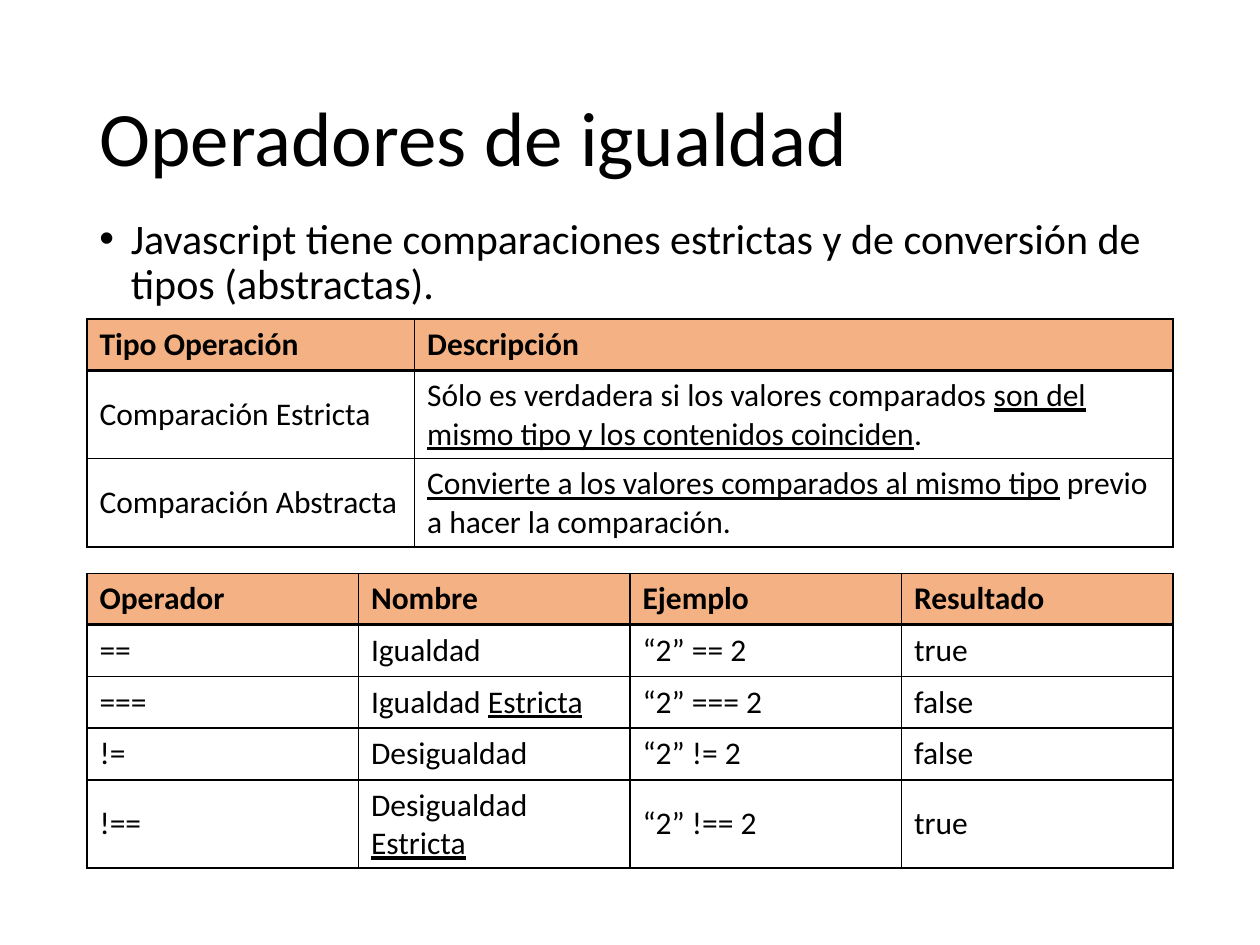
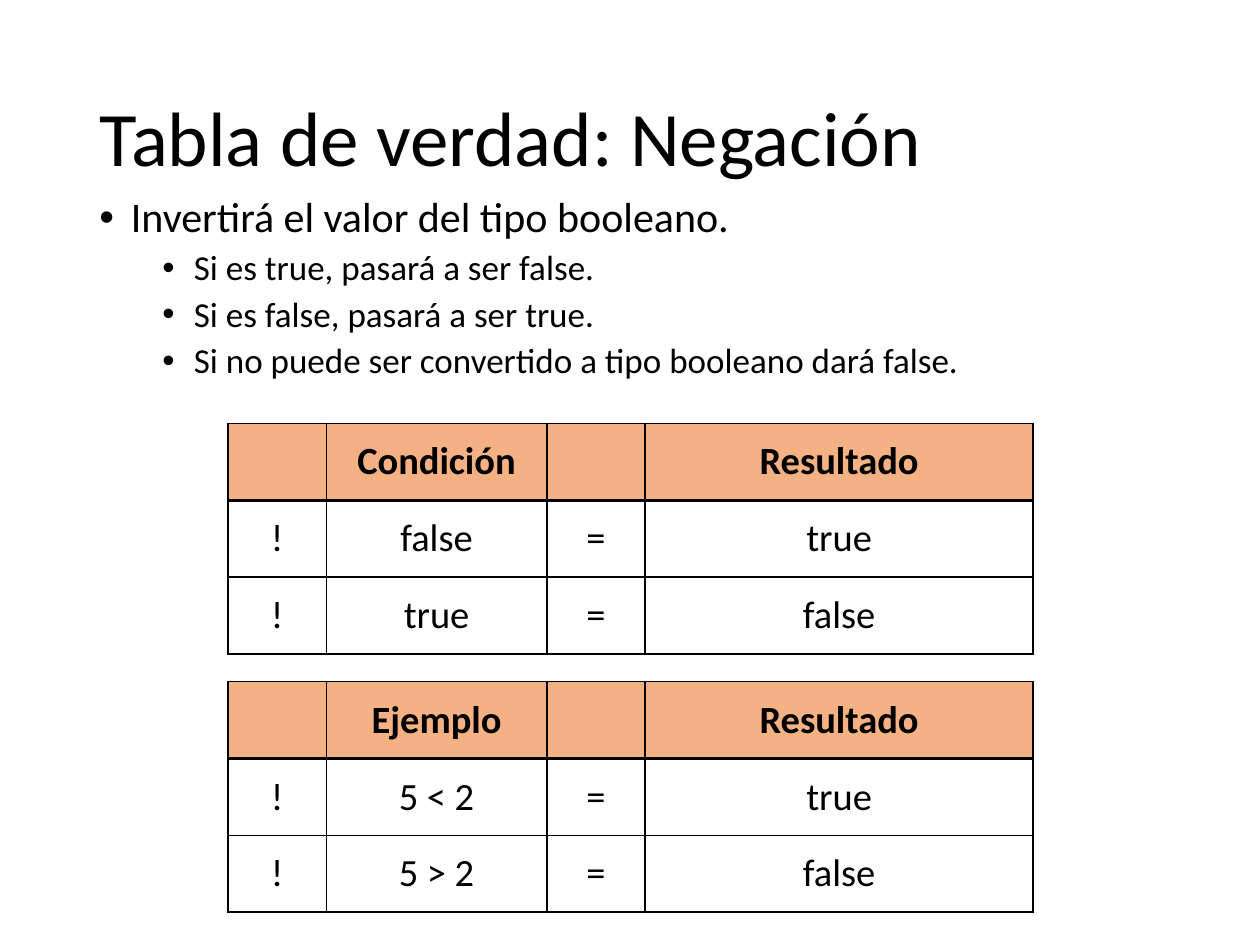
from lxml.etree import SubElement
from pptx import Presentation
from pptx.dml.color import RGBColor
from pptx.enum.text import MSO_ANCHOR, PP_ALIGN
from pptx.oxml import parse_xml
from pptx.oxml.ns import nsdecls, qn
from pptx.util import Inches, Pt

HUES = {"ink": "000000", "head": "F4B183", "cell": "FFFFFF"}
FACE = "Calibri"
LEFT, WIDE = 0.69, 8.62


def write(para, text, size, bold=False):
    para.font.name = FACE
    para.font.size = Pt(size)
    para.font.bold = bold
    para.font.color.rgb = RGBColor.from_string(HUES["ink"])
    for turn, part in enumerate(text.split("_")):
        if part:
            run = para.add_run()
            run.text = part
            if turn % 2:
                run.font.underline = True


def grid(slide, left, top, cols, rows, data, size, align, inset):
    frame = slide.shapes.add_table(
        len(rows), len(cols), Inches(left), Inches(top),
        Inches(sum(cols)), Inches(sum(rows)))
    table = frame.table
    for col, width in zip(table.columns, cols):
        col.width = Inches(width)
    for r, (height, texts) in enumerate(zip(rows, data)):
        table.rows[r].height = Inches(height)
        for c, text in enumerate(texts):
            cell = table.cell(r, c)
            cell.vertical_anchor = MSO_ANCHOR.MIDDLE
            cell.margin_left = cell.margin_right = Inches(inset)
            cell.margin_top = cell.margin_bottom = Inches(inset / 2)
            para = cell.text_frame.paragraphs[0]
            para.alignment = align
            write(para, text, size, r == 0)
            props = cell._tc.get_or_add_tcPr()
            for side in "LRTB":
                thick = (r, side) in ((0, "B"), (1, "T"))
                props.append(parse_xml(
                    f'<a:ln{side} {nsdecls("a")} w="{Pt(2 if thick else 1)}">'
                    f'<a:solidFill><a:srgbClr val="{HUES["ink"]}"/></a:solidFill>'
                    f'</a:ln{side}>'))
            cell.fill.solid()
            hue = HUES["head" if r == 0 else "cell"]
            cell.fill.fore_color.rgb = RGBColor.from_string(hue)


kinds = [
    ["Tipo Operación", "Descripción"],
    ["Comparación Estricta",
     "Sólo es verdadera si los valores comparados "
     "_son del mismo tipo y los contenidos coinciden_."],
    ["Comparación Abstracta",
     "_Convierte a los valores comparados al mismo tipo_ "
     "previo a hacer la comparación."],
]
signs = [
    ["Operador", "Nombre", "Ejemplo", "Resultado"],
    ["==", "Igualdad", "“2” == 2", "true"],
    ["===", "Igualdad _Estricta_", "“2” === 2", "false"],
    ["!=", "Desigualdad", "“2” != 2", "false"],
    ["!==", "Desigualdad _Estricta_", "“2” !== 2", "true"],
]
truths = [
    ["", "Condición", "", "Resultado"],
    ["!", "false", "=", "true"],
    ["!", "true", "=", "false"],
]
samples = [
    ["", "Ejemplo", "", "Resultado"],
    ["!", "5 < 2", "=", "true"],
    ["!", "5 > 2", "=", "false"],
]

plain = (18, PP_ALIGN.LEFT, 0.1)
large = (22, PP_ALIGN.CENTER, 0.12)
narrow = [0.78, 1.75, 0.78, 3.08]
even = [0.61] * 3

pages = [
    ("Operadores de igualdad", 1.68, 0.84,
     [(0, "Javascript tiene comparaciones estrictas y de conversión de "
          "tipos (abstractas).")],
     [(LEFT, 2.53, [2.6, 6.02], [0.41, 0.7, 0.7], kinds, *plain),
      (LEFT, 4.55, [WIDE / 4] * 4, [0.41] * 4 + [0.7], signs, *plain)]),
    ("Tabla de verdad: Negación", 1.51, 1.99,
     [(0, "Invertirá el valor del tipo booleano."),
      (1, "Si es true, pasará a ser false."),
      (1, "Si es false, pasará a ser true."),
      (1, "Si no puede ser convertido a tipo booleano dará false.")],
     [(1.81, 3.36, narrow, even, truths, *large),
      (1.81, 5.41, narrow, even, samples, *large)]),
]

deck = Presentation()
deck.slide_width = Inches(10)
deck.slide_height = Inches(7.5)

for name, top, height, points, tables in pages:
    slide = deck.slides.add_slide(deck.slide_layouts[5])
    title = slide.shapes.title
    title.left, title.top = Inches(LEFT), Inches(0.4)
    title.width, title.height = Inches(WIDE), Inches(1.45)
    title.text_frame.vertical_anchor = MSO_ANCHOR.MIDDLE
    head = title.text_frame.paragraphs[0]
    head.alignment = PP_ALIGN.LEFT
    head.line_spacing = 0.9
    write(head, name, 44)

    box = slide.shapes.add_textbox(
        Inches(LEFT), Inches(top), Inches(WIDE), Inches(height))
    body = box.text_frame
    body.word_wrap = True
    for i, (level, text) in enumerate(points):
        para = body.add_paragraph() if i else body.paragraphs[0]
        para.level = level
        para.line_spacing = 0.9
        para.space_before = Pt(5 if level else 10)
        props = para._p.get_or_add_pPr()
        props.set("marL", str(Inches(0.25 + 0.5 * level)))
        props.set("indent", str(Inches(-0.25)))
        SubElement(props, qn("a:buFont")).set("typeface", "Arial")
        SubElement(props, qn("a:buChar")).set("char", "•")
        write(para, text, 20 if level else 24)

    for spec in tables:
        grid(slide, *spec)

deck.save("out.pptx")
